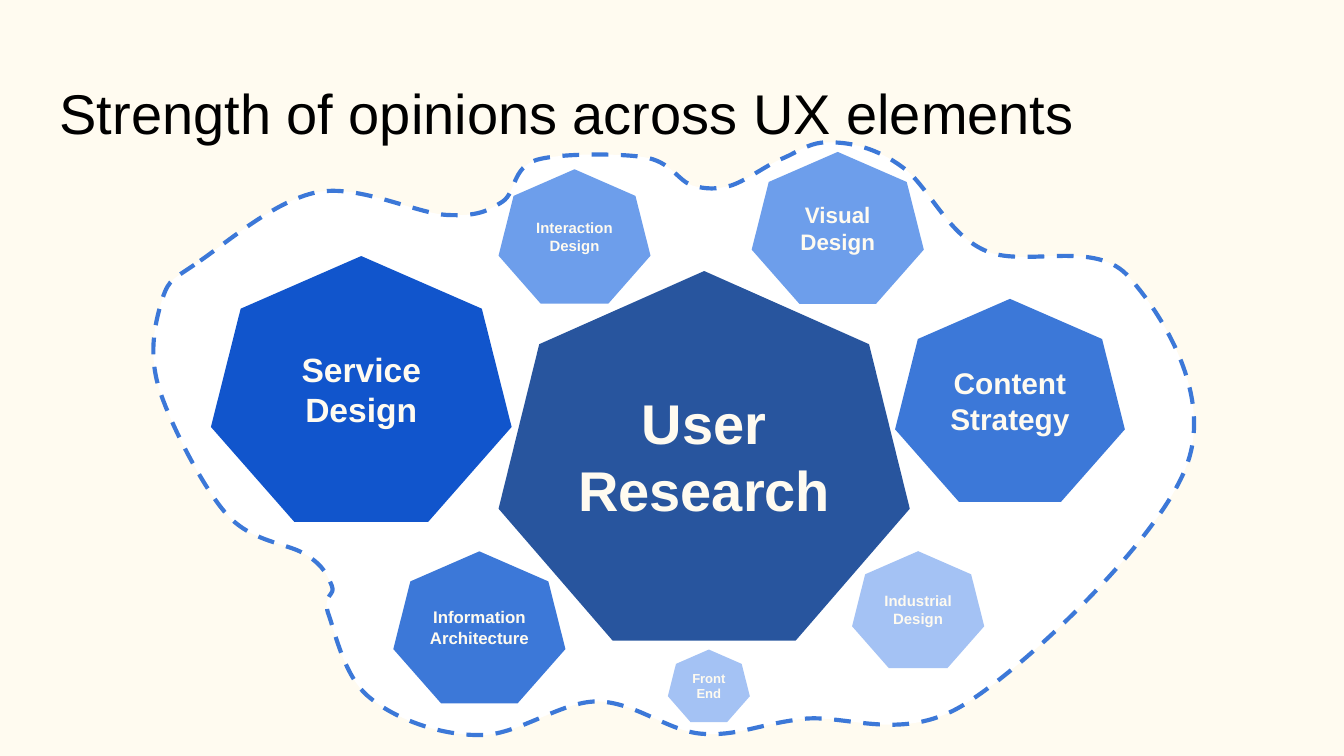
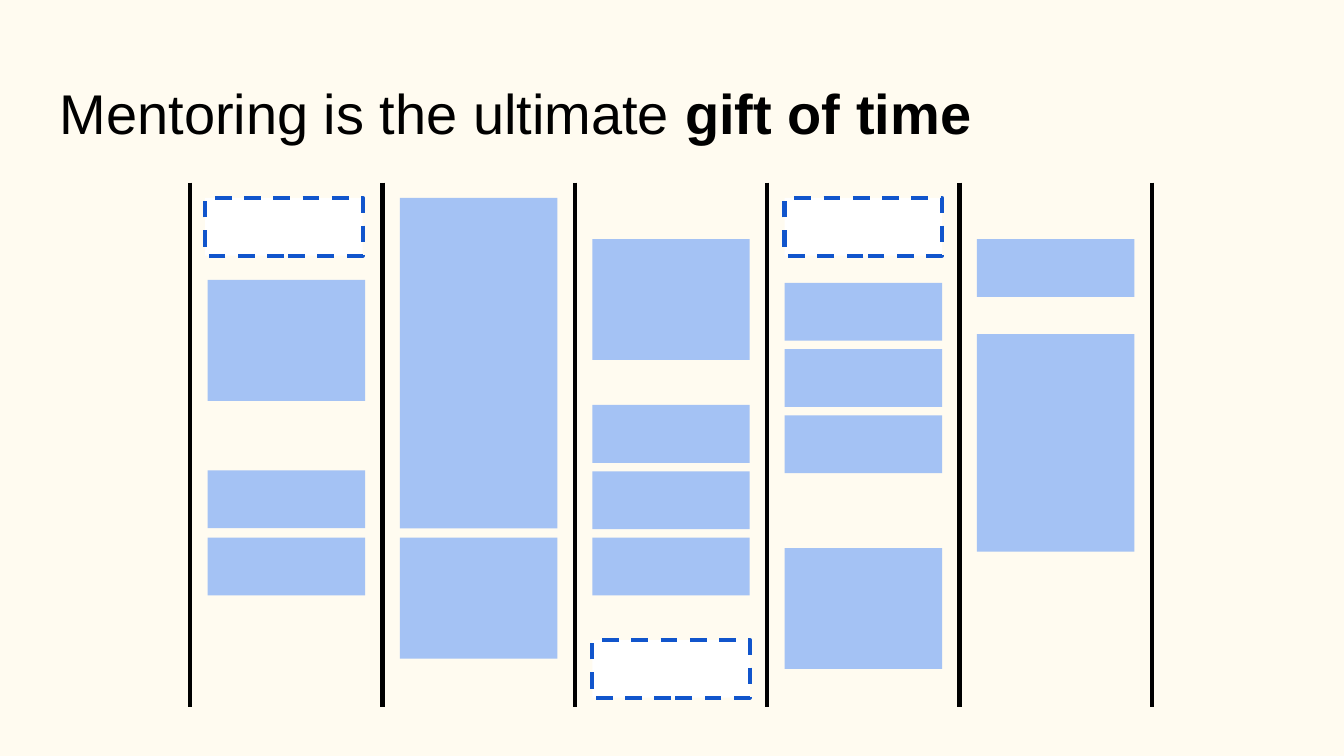
from lxml import etree
from pptx import Presentation
from pptx.dml.color import RGBColor
from pptx.enum.dml import MSO_LINE
from pptx.enum.shapes import MSO_CONNECTOR, MSO_SHAPE
from pptx.enum.text import MSO_ANCHOR, PP_ALIGN
from pptx.oxml.ns import qn
from pptx.util import Pt

DASH = MSO_LINE.DASH
STRAIGHT = MSO_CONNECTOR.STRAIGHT
HEPTAGON, RECTANGLE = MSO_SHAPE.HEPTAGON, MSO_SHAPE.RECTANGLE
MIDDLE, TOP = MSO_ANCHOR.MIDDLE, MSO_ANCHOR.TOP
CENTER, LEFT = PP_ALIGN.CENTER, PP_ALIGN.LEFT

COLORS = {
    "cream": "FFFBF0", "white": "FFFFFF", "black": "000000", "navy": "204F9B",
    "royal": "1155CC", "blue": "3C78D8", "sky": "6D9EEB", "pale": "A4C2F4",
}
FONT = "Arial"
LINE_WIDTH = 2.25
INSET = 7.2

TITLE_BOX = (24.9, 34.9, 671, 48.2)
DIAGRAM_BOX = (72, 72, 576, 324)
CALENDAR_BOX = (101.9, 97.9, 515.2, 280.8)

OUTLINE_BOUNDS = (10.1, 3.6, 558, 318.2)
OUTLINE_START = (35.3, 67.7)
OUTLINE_CURVES = [
    ((49, 58.3), (75.6, 35.3), (97.9, 31)),
    ((120.2, 26.6), (151.2, 42.5), (167.8, 43.2)),
    ((184.3, 43.9), (189.4, 41), (197.3, 36)),
    ((204.5, 31), (202.3, 18), (215.3, 13.7)),
    ((227.5, 10.1), (259.2, 10.1), (272.9, 12.2)),
    ((287.3, 14.4), (290.9, 24.5), (298.8, 27.4)),
    ((306.7, 29.5), (311.8, 29.5), (319.7, 27.4)),
    ((328.3, 24.5), (338.4, 16.6), (347, 13)),
    ((355.7, 9.4), (362.2, 3.6), (373, 4.3)),
    ((383.8, 4.3), (397.4, 7.2), (411.1, 17.3)),
    ((424.8, 26.6), (434.9, 52.6), (455, 61.9)),
    ((475.2, 72), (512.6, 56.2), (531.4, 74.9)),
    ((549.4, 94.3), (578.2, 139), (563.8, 177.1)),
    ((550.1, 215.3), (481.7, 281.5), (447.1, 303.8)),
    ((412.6, 326.9), (381.6, 310.3), (357.8, 313.2)),
    ((334.1, 316.1), (322.6, 322.6), (303.8, 321.1)),
    ((285.8, 319.7), (267.8, 303.8), (247.7, 303.8)),
    ((228.2, 303.8), (204.5, 322.6), (184.3, 321.8)),
    ((163.4, 321.8), (139.7, 313.2), (126, 301.7)),
    ((112.3, 290.9), (107.3, 265.7), (103.7, 256.3)),
    ((100.8, 246.2), (108, 247), (105.8, 241.9)),
    ((103.7, 236.9), (101.5, 231.1), (92.2, 225.4)),
    ((82.8, 218.9), (63.4, 218.9), (49.7, 203.8)),
    ((36.7, 189.4), (18.7, 154.1), (13, 135.4)),
    ((7.2, 115.9), (11.5, 99.4), (15.1, 87.8)),
    ((18.7, 77), (20.9, 77.8), OUTLINE_START),
]
ELEMENTS = [
    ("User\nResearch", 30, "navy", 96, (195.1, 73.2, 220.3, 198)),
    ("Visual Design", 12, "sky", 100, (330.7, 9.4, 92.2, 81.4)),
    ("Content\nStrategy", 16, "blue", 100, (407.5, 88.1, 123.1, 108.7)),
    ("Interaction Design", 8, "sky", 100, (195.1, 18.7, 81.4, 72)),
    ("Service Design", 18, "royal", 100, (41, 65.2, 161.1, 142.4)),
    ("Information Architecture", 9, "blue", 100, (138.7, 223.4, 92.2, 81.4)),
    ("Front End", 7, "pale", 100, (285.8, 276, 43.9, 38.9)),
    ("Industrial\nDesign", 8, "pale", 100, (384.5, 223.3, 70.8, 62.6)),
]

BLOCK_WIDTH = 84.4
BLOCK_INDENT = 9.3
SHORT, MEDIUM, LONG, FULL = 31, 64.8, 116.6, 177.1
BUSY_DAYS = [
    [(52.1, MEDIUM), (154.1, SHORT), (190.1, SHORT)],
    [(8.1, FULL), (190.2, MEDIUM)],
    [(30.2, MEDIUM), (119.1, SHORT), (154.6, SHORT), (190.1, SHORT)],
    [(53.6, SHORT), (89.1, SHORT), (124.6, SHORT), (195.7, MEDIUM)],
    [(81.1, LONG), (30.2, SHORT)],
]
FREE_SLOTS = [(8, 8.1), (215.4, 244.9), (318.4, 8.1)]


def rgb(name):
    """Return the named palette colour."""
    return RGBColor.from_string(COLORS[name])


def apply(target, values):
    """Set every attribute in a dict of format values."""
    for name, value in values.items():
        setattr(target, name, value)


def place(box, left, top, *size):
    """Turn lengths relative to a box into slide lengths."""
    return [Pt(value) for value in (box[0] + left, box[1] + top, *size)]


def paint(shape, fill, line=None):
    """Fill a shape and give it a dashed outline or none."""
    shape.shadow.inherit = False
    shape.fill.solid()
    shape.fill.fore_color.rgb = rgb(fill)
    if line:
        shape.line.color.rgb = rgb(line)
        apply(shape.line, {"width": Pt(LINE_WIDTH), "dash_style": DASH})
    else:
        shape.line.fill.background()


def set_opacity(shape, percent):
    """Make a solid fill partly transparent."""
    color = shape.fill._xPr.find(qn("a:solidFill"))[0]
    etree.SubElement(color, qn("a:alpha"), val=str(percent * 1000))


def write(shape, paragraphs, size, color, align, anchor):
    """Write paragraphs made of (text, bold) spans into a shape."""
    frame = shape.text_frame
    margins = ("margin_left", "margin_top", "margin_right", "margin_bottom")
    apply(frame, {"word_wrap": True, "vertical_anchor": anchor,
                  **dict.fromkeys(margins, Pt(INSET))})
    for index, spans in enumerate(paragraphs):
        para = frame.add_paragraph() if index else frame.paragraphs[0]
        para.alignment = align
        for text, bold in spans:
            span = para.add_run()
            span.text = text
            apply(span.font, {"name": FONT, "size": Pt(size), "bold": bold})
            span.font.color.rgb = rgb(color)


def add_page(deck, title_spans):
    """Add a cream page with its title."""
    page = deck.slides.add_slide(deck.slide_layouts[6])
    page.background.fill.solid()
    page.background.fill.fore_color.rgb = rgb("cream")
    title = page.shapes.add_textbox(*place(TITLE_BOX, 0, 0, *TITLE_BOX[2:]))
    write(title, [title_spans], 30, "black", LEFT, TOP)
    return page


def add_command(track, tag, points):
    """Append one drawing command to a freeform's geometry."""
    command = etree.SubElement(track, qn(tag))
    for x, y in points:
        etree.SubElement(command, qn("a:pt"),
                         x=str(Pt(x - OUTLINE_BOUNDS[0])),
                         y=str(Pt(y - OUTLINE_BOUNDS[1])))


def add_outline(page, box):
    """Draw the dashed cloud of cubic curves around the elements."""
    builder = page.shapes.build_freeform(*place(box, *OUTLINE_START))
    builder.add_line_segments([place(box, *curve[-1]) for curve in OUTLINE_CURVES])
    cloud = builder.convert_to_shape()
    bounds = place(box, *OUTLINE_BOUNDS)
    apply(cloud, dict(zip(("left", "top", "width", "height"), bounds)))
    track = cloud._element.spPr.find(".//" + qn("a:path"))
    for command in list(track):
        track.remove(command)
    track.set("w", str(bounds[2]))
    track.set("h", str(bounds[3]))
    add_command(track, "a:moveTo", [OUTLINE_START])
    for curve in OUTLINE_CURVES:
        add_command(track, "a:cubicBezTo", curve)
    add_command(track, "a:close", [])
    paint(cloud, "white", "blue")


def add_elements(page, box):
    """Draw one labelled heptagon for each element."""
    for label, size, color, opacity, bounds in ELEMENTS:
        heptagon = page.shapes.add_shape(HEPTAGON, *place(box, *bounds))
        paint(heptagon, color)
        if opacity < 100:
            set_opacity(heptagon, opacity)
        paragraphs = [[(text, True)] for text in label.split("\n")]
        write(heptagon, paragraphs, size, "cream", CENTER, MIDDLE)


def add_day_lines(page, box, pitch):
    """Draw the vertical rules between the days."""
    for index in range(len(BUSY_DAYS) + 1):
        left = index * pitch
        ends = place(box, left, 0) + place(box, left, box[3])
        rule = page.shapes.add_connector(STRAIGHT, *ends)
        rule.line.color.rgb = rgb("black")
        rule.line.width = Pt(LINE_WIDTH)
        etree.SubElement(rule._element.spPr, qn("a:effectLst"))


def add_block(page, box, left, top, height, fill, line=None):
    """Draw one block of time."""
    bounds = place(box, left, top, BLOCK_WIDTH, height)
    paint(page.shapes.add_shape(RECTANGLE, *bounds), fill, line)


def add_calendar(page, box):
    """Draw the days with their free slots and busy blocks."""
    pitch = box[2] / len(BUSY_DAYS)
    add_day_lines(page, box, pitch)
    for left, top in FREE_SLOTS:
        add_block(page, box, left, top, SHORT, "white", "royal")
    for index, blocks in enumerate(BUSY_DAYS):
        for top, height in blocks:
            add_block(page, box, index * pitch + BLOCK_INDENT, top, height, "pale")


def main():
    """Build and save the deck."""
    deck = Presentation()
    apply(deck, {"slide_width": Pt(720), "slide_height": Pt(405)})
    opinions = add_page(deck, [("Strength of opinions across UX elements", False)])
    add_outline(opinions, DIAGRAM_BOX)
    add_elements(opinions, DIAGRAM_BOX)
    mentoring = add_page(
        deck, [("Mentoring is the ultimate ", False), ("gift of time", True)])
    add_calendar(mentoring, CALENDAR_BOX)
    deck.save("out.pptx")


if __name__ == "__main__":
    main()
